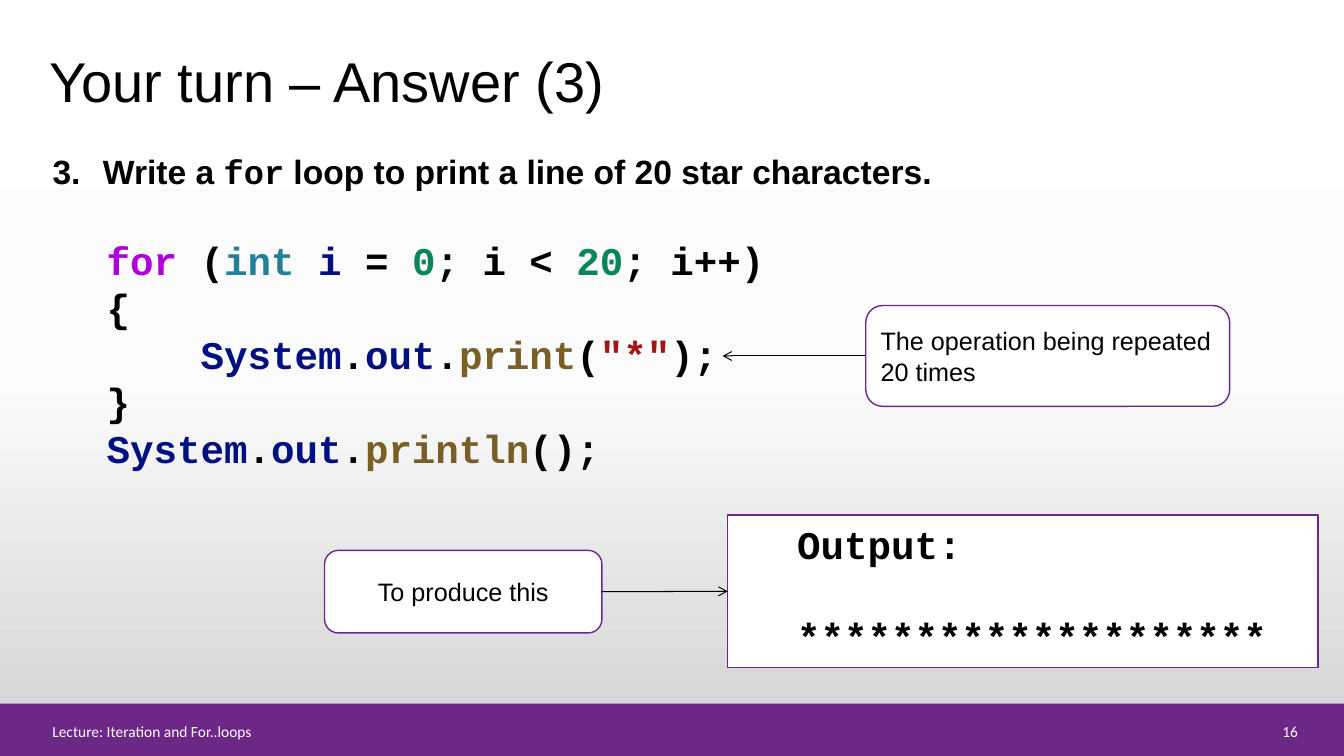
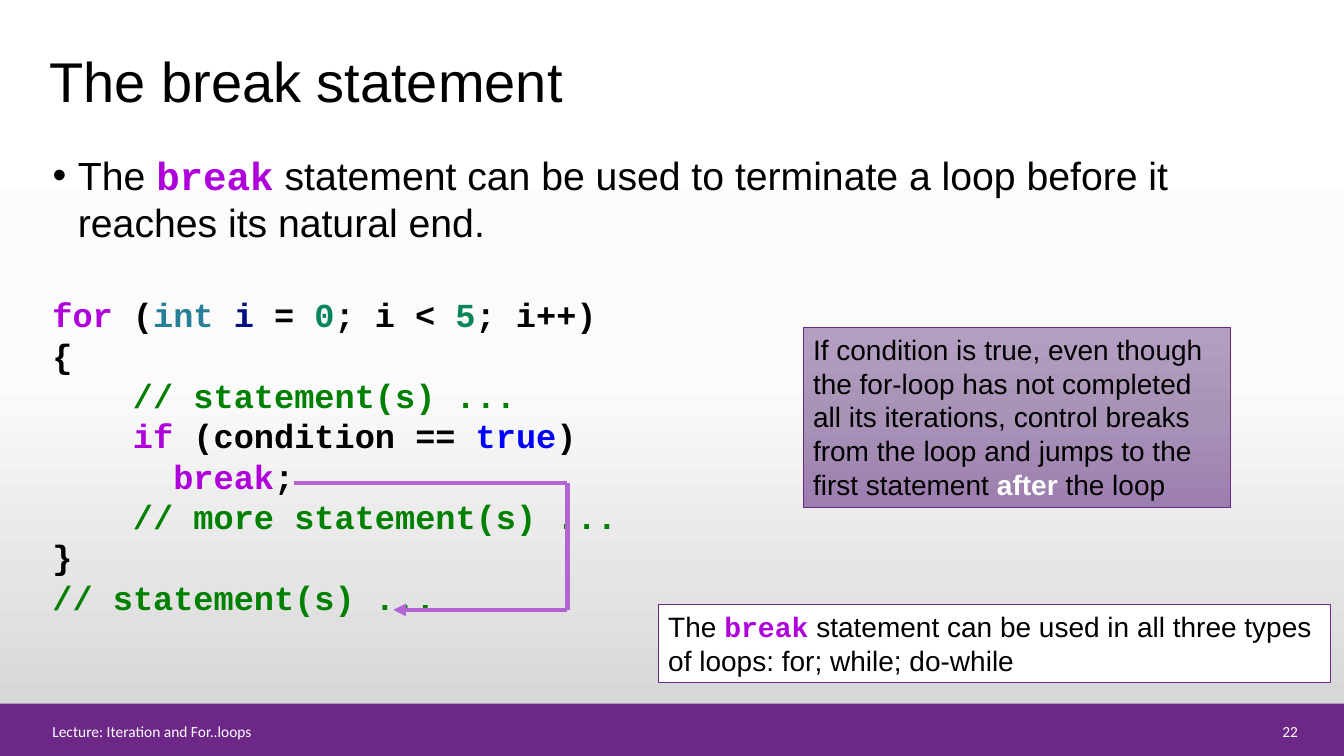
from itertools import pairwise

from lxml import etree
from pptx import Presentation
from pptx.dml.color import RGBColor
from pptx.enum.shapes import MSO_CONNECTOR, MSO_SHAPE
from pptx.enum.text import MSO_ANCHOR, MSO_AUTO_SIZE, PP_ALIGN
from pptx.oxml.ns import qn
from pptx.util import Cm, Pt

RECT, ROUND = MSO_SHAPE.RECTANGLE, MSO_SHAPE.ROUNDED_RECTANGLE
STRAIGHT = MSO_CONNECTOR.STRAIGHT
TOP, MID = MSO_ANCHOR.TOP, MSO_ANCHOR.MIDDLE
LEFT, MIDDLE, RIGHT = PP_ALIGN.LEFT, PP_ALIGN.CENTER, PP_ALIGN.RIGHT
FIXED = MSO_AUTO_SIZE.NONE

SANS, MONO, SMALL = "Arial", "Courier New", "Calibri"
HEX = {
    "black": "000000", "white": "FFFFFF", "brand": "6C2787", "path": "B363D2",
    "key": "AF00DB", "type": "267F99", "name": "001080", "num": "098658",
    "func": "795E26", "str": "A31515", "note": "008000", "bool": "0000FF",
}
BACK = [(0, "FFFFFF"), (50, "FBFBFB"), (100, "D1D1D1")]
LILAC = [(0, "B49FC2"), (50, "A893B7"), (100, "9C7EAE")]
LEFT_TOP = (1.07, 3.68)


def rgb(name):
    return RGBColor.from_string(HEX[name])


def shade(fill, node, stops):
    """Give a fill a vertical gradient with any number of stops."""
    fill.gradient()
    fill.gradient_angle = 270
    group = next(node.iter(qn("a:gsLst")))
    for old in list(group):
        group.remove(old)
    for place, tint in stops:
        stop = etree.SubElement(group, qn("a:gs"), pos=str(place * 1000))
        etree.SubElement(stop, qn("a:srgbClr"), val=tint)


def write(frame, paras, font=SANS, size=18, color="black", bold=False,
          align=LEFT, anchor=TOP, margin=0, indent=0, bullet=None, tab=None,
          gap=0):
    """Fill a frame; a run is a string or a (string, changes) pair."""
    frame.word_wrap, frame.auto_size = True, FIXED
    frame.vertical_anchor = anchor
    for i, runs in enumerate(paras):
        para = frame.paragraphs[0] if i == 0 else frame.add_paragraph()
        props = para._p.get_or_add_pPr()
        props.set("marL", str(Cm(margin)))
        props.set("indent", str(Cm(indent)))
        if bullet:
            etree.SubElement(props, qn("a:buChar"), char=bullet)
        else:
            etree.SubElement(props, qn("a:buNone"))
        if tab:
            tabs = etree.SubElement(props, qn("a:tabLst"))
            etree.SubElement(tabs, qn("a:tab"), pos=str(Cm(tab)), algn="l")
        para.alignment = align
        para.space_before = Pt(gap if i else 0)
        for part in [runs] if isinstance(runs, str) else runs:
            text, diff = (part, {}) if isinstance(part, str) else part
            run = para.add_run()
            run.text = text
            run.font.name = diff.get("font", font)
            run.font.size = Pt(size)
            run.font.bold = diff.get("bold", bold)
            run.font.color.rgb = rgb(diff.get("color", color))


# Pieces of code
def hue(color, text):
    return text, {"color": color}


def loop(count):
    return [hue("key", "for"), " (", hue("type", "int "), hue("name", "i"),
            " = ", hue("num", "0"), "; i < ", hue("num", count), "; i++)"]


def call(func, *args):
    return [hue("name", "System"), ".", hue("name", "out"), ".",
            hue("func", func), "(", *args, ");"]


BREAK = ("break", {"font": MONO, "color": "key", "bold": True})


class Deck:
    def __init__(self):
        self.prs = Presentation()
        self.prs.slide_width, self.prs.slide_height = Cm(33.87), Cm(19.05)
        master = self.prs.slide_master
        shade(master.background.fill, master._element, BACK)
        self.slide = None

    def start(self, title, number):
        """Open a slide with its title, band and footer."""
        self.slide = self.prs.slides.add_slide(self.prs.slide_layouts[1])
        self.place(self.slide.shapes.title, (0.99, 0.91, 26.31, 2.21))
        write(self.slide.shapes.title.text_frame, [title], size=40, anchor=MID)
        self.box((0, 17.73, 33.87, 1.32), fill="brand", line=None)
        foot = {"font": SMALL, "size": 11, "color": "white"}
        self.text((1.07, 18.08, 29.59, 0.58),
                  ["Lecture: Iteration and For..loops"], **foot)
        self.text((31.06, 18.08, 1.9, 0.58), [number], align=RIGHT, **foot)

    def place(self, shape, area):
        shape.left, shape.top, shape.width, shape.height = map(Cm, area)

    def body(self, height, paras, **style):
        holder = self.slide.placeholders[1]
        self.place(holder, (*LEFT_TOP, 31.88, height))
        write(holder.text_frame, paras, **style)

    def text(self, area, paras, **style):
        box = self.slide.shapes.add_textbox(*map(Cm, area))
        write(box.text_frame, paras, **style)

    def code(self, area, lines, size):
        self.text(area, lines, font=MONO, size=size, bold=True)

    def box(self, area, paras=(), kind=RECT, fill="white", stops=None,
            line="brand", width=1, **style):
        shape = self.slide.shapes.add_shape(kind, *map(Cm, area))
        shape.shadow.inherit = False
        if stops:
            shade(shape.fill, shape._element, stops)
        else:
            shape.fill.solid()
            shape.fill.fore_color.rgb = rgb(fill)
        if line:
            shape.line.color.rgb = rgb(line)
            shape.line.width = Pt(width)
        else:
            shape.line.fill.background()
        write(shape.text_frame, paras, **style)
        return shape

    def line(self, start, end, color="black", width=0.75, head="arrow"):
        link = self.slide.shapes.add_connector(
            STRAIGHT, *map(Cm, (*start, *end)))
        link.line.color.rgb = rgb(color)
        link.line.width = Pt(width)
        if head:
            etree.SubElement(link.line._get_or_add_ln(), qn("a:tailEnd"),
                             type=head)
        etree.SubElement(link._element.spPr, qn("a:effectLst"))
        return link


def answer(deck):
    deck.start("Your turn – Answer (3)", "16")
    deck.body(1.19, [["3.\tWrite a ", ("for", {"font": MONO}),
                      " loop to print a line of 20 star characters."]],
              size=24, bold=True, tab=2.54)
    deck.code((2.44, 5.82, 27.61, 6.25), [
        loop("20"),
        "{",
        ["    ", *call("print", hue("str", '"*"'))],
        "}",
        call("println"),
    ], 28)

    # Output and callouts
    out = deck.box((18.34, 12.98, 14.88, 3.84), ["Output:", "*" * 20],
                   font=MONO, size=28, bold=True, margin=1.5, gap=32)
    task = deck.box((21.82, 7.7, 9.17, 2.54),
                    ["The operation being repeated 20 times"],
                    kind=ROUND, anchor=MID)
    goal = deck.box((8.18, 13.87, 6.99, 2.08), ["To produce this"],
                    kind=ROUND, anchor=MID, align=MIDDLE)
    deck.line((21.82, 8.97), (18.21, 8.97)).begin_connect(task, 1)
    link = deck.line((15.17, 14.91), (18.34, 14.9))
    link.begin_connect(goal, 3)
    link.end_connect(out, 1)


def leave(deck):
    deck.start("The break statement", "22")
    deck.body(2.41, [["The ", BREAK, " statement can be used to terminate "
                      "a loop before it reaches its natural end."]],
              size=28, bullet="•", margin=0.64, indent=-0.64)
    deck.code((1.07, 7.29, 16.94, 8.46), [
        loop("5"),
        "{",
        ["    ", hue("note", "// statement(s) ...")],
        ["    ", hue("key", "if"), " (condition == ", hue("bool", "true"), ")"],
        ["      ", hue("key", "break"), ";"],
        ["    ", hue("note", "// more statement(s) ...")],
        "}",
        [hue("note", "// statement(s) ...")],
    ], 24)

    # Jump out of the loop
    turns = [(7.42, 12.17), (14.3, 12.17), (14.3, 15.37), (9.91, 15.37)]
    for start, end in pairwise(turns):
        deck.line(start, end, color="path", width=3,
                  head="triangle" if end == turns[-1] else None)

    # Remarks
    deck.box((20.24, 8.26, 10.77, 4.52), [[
        "If condition is true, even though the for-loop has not completed all "
        "its iterations, control breaks from the loop and jumps to the first "
        "statement ", ("after", {"color": "white", "bold": True}),
        " the loop"]], stops=LILAC, width=0.5, size=20)
    deck.box((16.59, 15.24, 16.94, 1.96), [[
        "The ", BREAK, " statement can be used in all three types of loops: "
        "for; while; do-while"]], size=20)


def main():
    deck = Deck()
    answer(deck)
    leave(deck)
    deck.prs.save("out.pptx")


if __name__ == "__main__":
    main()
